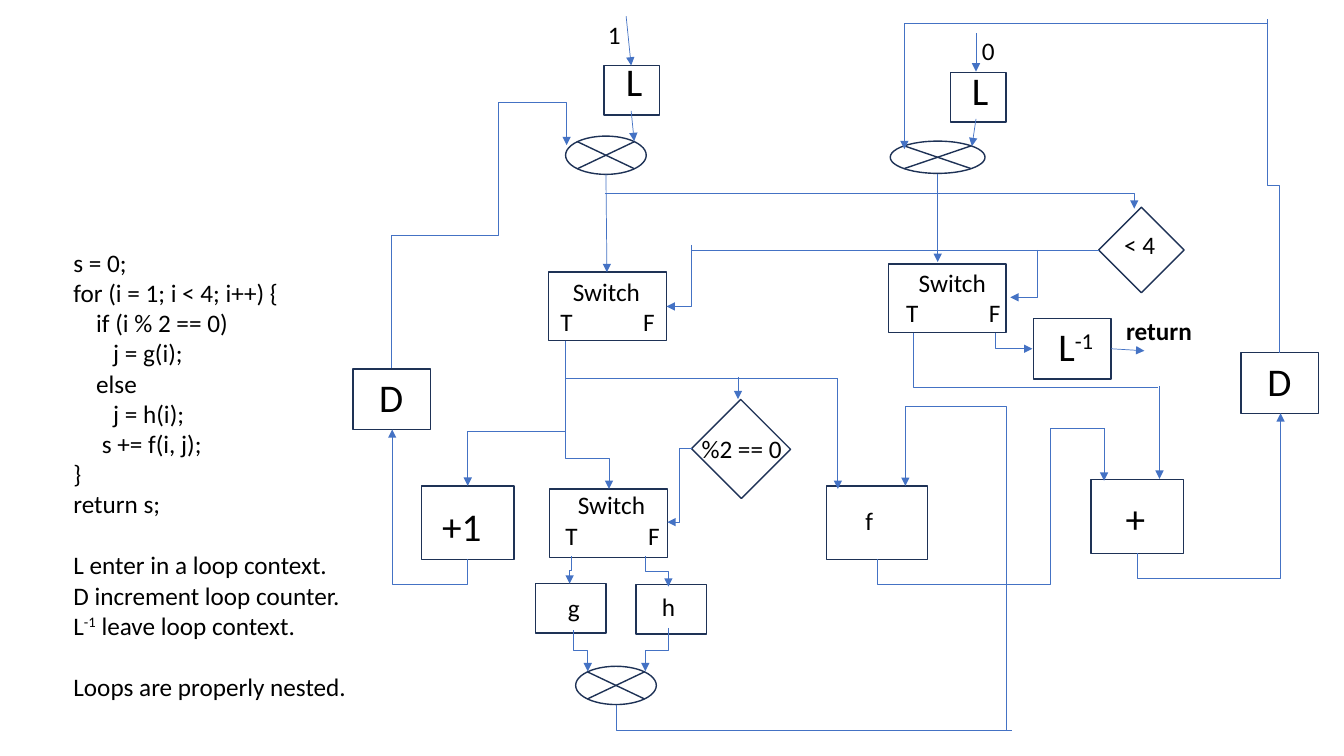
import pptx
import pptx.util
import pptx.dml.color
import pptx.enum.shapes
import pptx.enum.text
import pptx.oxml
import pptx.oxml.ns
from pptx.util import Inches

HUES = {"ink": "000000", "edge": "1E3256", "wire": "4472C4"}
KINDS = pptx.enum.shapes.MSO_SHAPE
LINKS = pptx.enum.shapes.MSO_CONNECTOR
ALIGN = pptx.enum.text.PP_ALIGN

CODE = [
    "s = 0;",
    "for (i = 1; i < 4; i++) {",
    "    if (i % 2 == 0)",
    "       j = g(i);",
    "    else",
    "       j = h(i);",
    "     s += f(i, j);",
    "}",
    "return s;",
]
RULES = [
    "L enter in a loop context.",
    "D increment loop counter.",
    "L^-1^ leave loop context.",
]
CLOSE = "Loops are properly nested."

# Boxes: left, top, width, height
BOXES = [
    (5.44, 2.7, 1.17, 0.68), (5.45, 4.85, 1.17, 0.68), (8.81, 2.62, 1.17, 0.68),
    (5.31, 5.79, 0.7, 0.49), (6.31, 5.8, 0.7, 0.49),
    (8.2, 4.82, 1, 0.73), (10.82, 4.76, 0.92, 0.73), (4.18, 4.82, 0.92, 0.73),
    (3.5, 3.66, 0.77, 0.6), (10.25, 3.16, 0.77, 0.6), (12.31, 3.5, 0.77, 0.6),
    (5.99, 0.65, 0.55, 0.49), (9.43, 0.72, 0.55, 0.49),
]
TESTS = [(11.02, 2.18, 0.6, 0.6), (7, 4.11, 0.7, 0.69)]
JOINS = [(5.61, 1.35, 0.8, 0.38), (8.83, 1.4, 0.94, 0.32), (5.71, 6.61, 0.8, 0.38)]

# Labels: text, left, top, width, height
SIDE = [
    ("< 4", 11.05, 2.23, 0.88, 0.4),
    ("0", 9.64, 0.3, 0.79, 0.4),
    ("1", 5.93, 0.14, 0.79, 0.4),
    ("%2 == 0", 6.86, 4.25, 1.14, 0.4),
]
SMALL = [
    ("f", 8.31, 4.96, 0.62, 0.41),
    ("g", 5.38, 5.83, 0.62, 0.41),
    ("h", 6.32, 5.82, 0.62, 0.41),
]
LARGE = [
    ("+", 10.95, 4.85, 0.62, 0.57),
    ("+1", 4.27, 4.93, 0.62, 0.57),
    ("D", 3.57, 3.65, 0.62, 0.57),
    ("D", 12.38, 3.5, 0.62, 0.57),
    ("L^-1^", 10.36, 3.15, 0.62, 0.57),
    ("L", 6.11, 0.52, 0.3, 0.57),
    ("L", 9.54, 0.61, 0.3, 0.57),
]
SWITCHES = [(5.43, 2.69), (5.48, 4.81), (8.86, 2.6)]

# Wires: corner points from start to end
ARROWS = [
    [(7.32, 3.74), (7.32, 3.96)],
    [(8.31, 3.75), (8.31, 4.85)],
    [(10.95, 4.25), (10.95, 4.77)],
    [(9.3, 1.73), (9.3, 2.6)],
    [(11.5, 3.83), (11.5, 4.75)],
    [(6.01, 1.73), (6.02, 2.7)],
    [(6.21, 0.16), (6.26, 0.65)],
    [(11.02, 3.46), (11.35, 3.48)],
    [(9.68, 0.33), (9.68, 0.71)],
    [(9.68, 1.18), (9.64, 1.45)],
    [(6.26, 1.1), (6.29, 1.4)],
    [(4.94, 1.02), (5.62, 1.02), (5.62, 1.44)],
    [(6.86, 4.45), (6.74, 4.45), (6.74, 5.18), (6.62, 5.18)],
    [(9.98, 7.24), (9.98, 4.03), (8.98, 4.03), (8.98, 4.82)],
    [(12.58, 0.23), (8.97, 0.23), (8.97, 1.48)],
    [(5.61, 4.28), (4.64, 4.28), (4.64, 4.82)],
    [(6.86, 2.43), (6.86, 3.04), (6.61, 3.04)],
    [(10.29, 2.48), (10.29, 2.95), (10.02, 2.95)],
    [(5.67, 5.52), (5.67, 5.66), (5.65, 5.66), (5.65, 5.79)],
    [(6.4, 5.52), (6.4, 5.67), (6.63, 5.67), (6.63, 5.82)],
    [(5.69, 6.25), (5.69, 6.45), (5.83, 6.45), (5.83, 6.66)],
    [(6.63, 6.23), (6.63, 6.45), (6.4, 6.45), (6.4, 6.66)],
    [(9.87, 3.3), (9.87, 3.46), (10.24, 3.46)],
    [(4.64, 5.55), (4.64, 5.8), (3.89, 5.8), (3.89, 4.26)],
    [(11.28, 5.49), (11.28, 5.74), (12.7, 5.74), (12.7, 4.1)],
    [(5.61, 3.74), (5.61, 4.55), (6.04, 4.55), (6.04, 4.85)],
    [(6, 1.92), (11.25, 1.92), (11.25, 2.07)],
]
PLAIN = [
    [(10.9, 2.48), (6.86, 2.48)],
    [(5.61, 3.38), (5.61, 3.75), (8.31, 3.75)],
    [(6.11, 6.99), (6.11, 7.25), (10.04, 7.25)],
    [(8.7, 5.55), (8.7, 5.8), (10.42, 5.8), (10.42, 4.25), (10.95, 4.25)],
    [(9.06, 3.3), (9.06, 3.84), (11.49, 3.84)],
    [(3.88, 3.65), (3.88, 2.34), (4.94, 2.34), (4.94, 1.02)],
    [(12.69, 3.5), (12.69, 1.84), (12.57, 1.84), (12.57, 0.19)],
]


def hue(name):
    return pptx.dml.color.RGBColor.from_string(HUES[name])


def add_node(slide, kind, spot, turn=0):
    node = slide.shapes.add_shape(kind, *map(Inches, spot))
    node.rotation = turn
    node.shadow.inherit = False
    node.fill.background()
    node.line.color.rgb = hue("edge")
    node.line.width = pptx.util.Pt(1)


def add_label(slide, lines, spot, size=18, align=ALIGN.LEFT, bold=None):
    """Text between ^ marks is raised."""
    frame = slide.shapes.add_textbox(*map(Inches, spot)).text_frame
    frame.word_wrap = True
    for place, line in enumerate(lines):
        para = frame.add_paragraph() if place else frame.paragraphs[0]
        para.alignment = align
        for part, text in enumerate(line.split("^")):
            run = para.add_run()
            run.text = text
            run.font.name = "Calibri"
            run.font.size = pptx.util.Pt(size)
            run.font.bold = bold
            run.font.color.rgb = hue("ink")
            if part % 2:
                run.font._element.set("baseline", "30000")
    return frame


def add_switch(slide, left, top):
    frame = add_label(slide, ["Switch", "T\tF"], (left, top, 1.17, 0.71))
    frame.paragraphs[0].alignment = ALIGN.CENTER
    props = frame.paragraphs[1]._p.get_or_add_pPr()
    props.set("marL", str(Inches(0.03)))
    tabs = pptx.oxml.parse_xml(
        f'<a:tabLst {pptx.oxml.ns.nsdecls("a")}>'
        f'<a:tab pos="{Inches(0.82)}" algn="l"/></a:tabLst>')
    props.append(tabs)


def bend(wire, dots):
    """Shape an elbow so that it runs through all corner points."""
    (x1, y1), (x2, y2) = dots[0], dots[-1]
    wide, high = x2 - x1, y2 - y1
    legs = len(dots) - 1
    upright = dots[1][0] == x1
    geom = wire.element.spPr.find(pptx.oxml.ns.qn("a:prstGeom"))
    geom.set("prst", f"bentConnector{legs}")
    shares = [(dots[1][0] - x1) / wide, (dots[2][1] - y1) / high]
    if upright:
        shares = [(dots[1][1] - y1) / high, (dots[2][0] - x1) / wide]
        # Turn the box a quarter about its centre
        wire.left = Inches((x1 + x2 - abs(high)) / 2)
        wire.top = Inches((y1 + y2 - abs(wide)) / 2)
        wire.width, wire.height = Inches(abs(high)), Inches(abs(wide))
        back = wide > 0 and high > 0
        form = wire.element.spPr.xfrm
        form.set("rot", str((270 if back else 90) * 60000))
        form.set("flipH", str(int(back or high < 0)))
        form.set("flipV", str(int(wide > 0 and not back)))
    for place, share in enumerate(shares[:legs - 2], 1):
        guide = pptx.oxml.parse_xml(
            f'<a:gd {pptx.oxml.ns.nsdecls("a")} name="adj{place}" '
            f'fmla="val {round(share * 100000)}"/>')
        geom.find(pptx.oxml.ns.qn("a:avLst")).append(guide)


def add_wire(slide, dots, arrow):
    kind = LINKS.STRAIGHT if len(dots) == 2 else LINKS.ELBOW
    wire = slide.shapes.add_connector(kind, *map(Inches, dots[0] + dots[-1]))
    if len(dots) > 2:
        bend(wire, dots)
    wire.line.color.rgb = hue("wire")
    wire.line.width = pptx.util.Pt(0.5)
    names = pptx.oxml.ns.nsdecls("a")
    if arrow:
        tip = pptx.oxml.parse_xml(f'<a:tailEnd {names} type="triangle"/>')
        wire.line._get_or_add_ln().append(tip)
    wire.element.spPr.append(pptx.oxml.parse_xml(f"<a:effectLst {names}/>"))


def main():
    deck = pptx.Presentation()
    deck.slide_width, deck.slide_height = Inches(13.33), Inches(7.5)
    slide = deck.slides.add_slide(deck.slide_layouts[6])

    # Code and its rules
    frame = add_label(slide, CODE + RULES + [CLOSE], (0.63, 2.4, 2.94, 4.64))
    for place in (len(CODE), len(CODE + RULES)):
        frame.paragraphs[place].space_before = pptx.util.Pt(22)

    # Nodes
    for spot in BOXES:
        add_node(slide, KINDS.RECTANGLE, spot)
    for spot in TESTS:
        add_node(slide, KINDS.RECTANGLE, spot, 45)
    for spot in JOINS:
        add_node(slide, KINDS.FLOWCHART_SUMMING_JUNCTION, spot)

    # Wires
    for group, arrow in ((ARROWS, True), (PLAIN, False)):
        for dots in group:
            add_wire(slide, dots, arrow)

    # Labels
    for left, top in SWITCHES:
        add_switch(slide, left, top)
    for group, size, align in ((SIDE, 18, ALIGN.LEFT), (SMALL, 18, ALIGN.CENTER),
                               (LARGE, 28, ALIGN.CENTER)):
        for text, *spot in group:
            add_label(slide, [text], spot, size, align)
    add_label(slide, ["return"], (11.07, 3.08, 1.76, 0.4), bold=True)

    deck.save("out.pptx")


if __name__ == "__main__":
    main()
